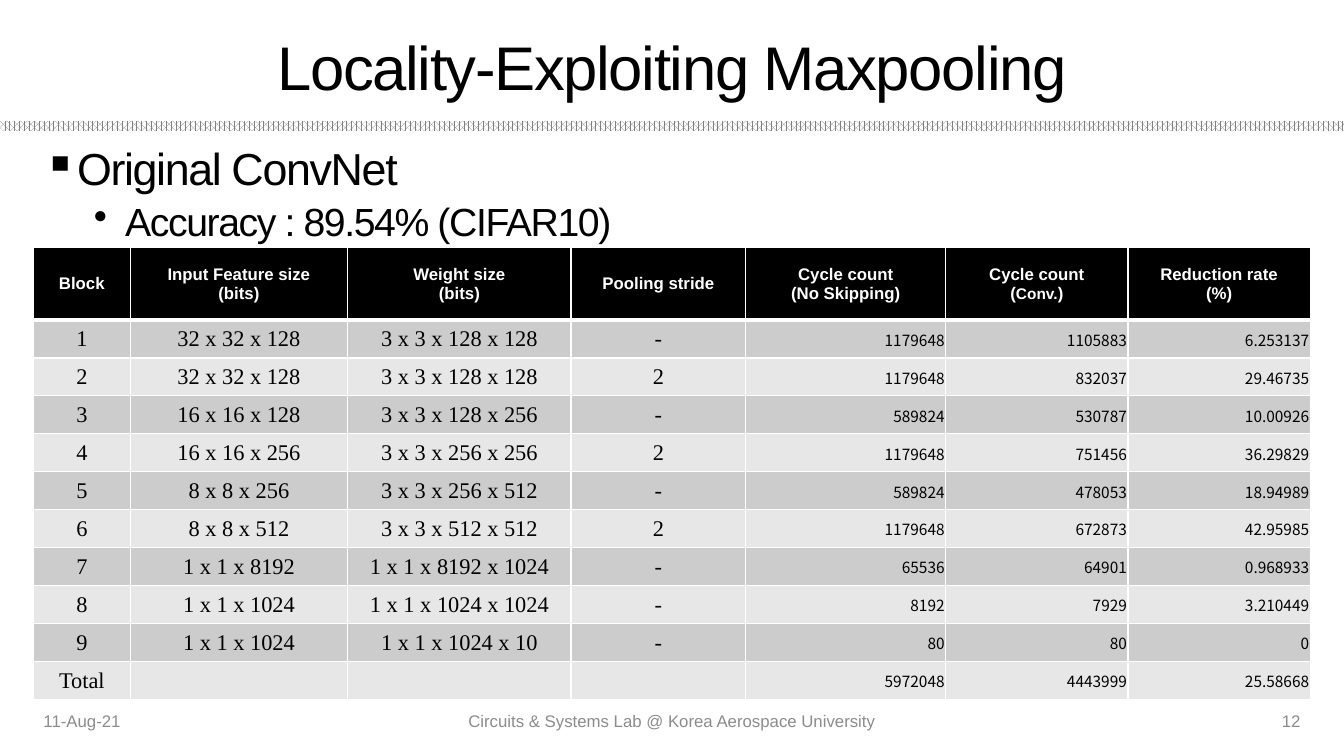
from lxml import etree
from pptx import Presentation
from pptx.dml.color import RGBColor
from pptx.enum.dml import MSO_PATTERN
from pptx.enum.shapes import MSO_SHAPE
from pptx.enum.text import MSO_ANCHOR, PP_ALIGN
from pptx.oxml.ns import qn
from pptx.util import Inches, Pt

LEFT, CENTER, RIGHT = PP_ALIGN.LEFT, PP_ALIGN.CENTER, PP_ALIGN.RIGHT
TOP, MIDDLE = MSO_ANCHOR.TOP, MSO_ANCHOR.MIDDLE
RECTANGLE = MSO_SHAPE.RECTANGLE
DOTS = MSO_PATTERN.PERCENT_70

COLORS = {
    "ink": "000000", "paper": "FFFFFF", "rule": "808080", "footer": "8C8C8C",
    "odd row": "CCCCCC", "even row": "E7E7E7",
}
SANS, SERIF, NUMERIC = "Arial", "Times New Roman", "Noto Sans CJK KR"

# Grid of 160 columns by 90 rows; margins of four columns
COLUMNS, ROWS = 160, 90
MARGIN, CONTENT = 4, 152

COLUMN_WIDTHS = [11.5, 25.9, 26.6, 20.8, 23.8, 21.7, 21.7]
HEADER_HEIGHT, ROW_HEIGHT = 8.6, 4.52
FIRST_NUMERIC = 4

HEADERS = ["Block", "Input Feature size\n(bits)", "Weight size\n(bits)",
           "Pooling stride", "Cycle count\n(No Skipping)",
           "Cycle count\n(Conv.)", "Reduction rate\n(%)"]
BLOCKS = [
    ["1", "32 x 32 x 128", "3 x 3 x 128 x 128", "-", "1179648", "1105883", "6.253137"],
    ["2", "32 x 32 x 128", "3 x 3 x 128 x 128", "2", "1179648", "832037", "29.46735"],
    ["3", "16 x 16 x 128", "3 x 3 x 128 x 256", "-", "589824", "530787", "10.00926"],
    ["4", "16 x 16 x 256", "3 x 3 x 256 x 256", "2", "1179648", "751456", "36.29829"],
    ["5", "8 x 8 x 256", "3 x 3 x 256 x 512", "-", "589824", "478053", "18.94989"],
    ["6", "8 x 8 x 512", "3 x 3 x 512 x 512", "2", "1179648", "672873", "42.95985"],
    ["7", "1 x 1 x 8192", "1 x 1 x 8192 x 1024", "-", "65536", "64901", "0.968933"],
    ["8", "1 x 1 x 1024", "1 x 1 x 1024 x 1024", "-", "8192", "7929", "3.210449"],
    ["9", "1 x 1 x 1024", "1 x 1 x 1024 x 10", "-", "80", "80", "0"],
    ["Total", "", "", "", "5972048", "4443999", "25.58668"],
]


def color(name):
    return RGBColor.from_string(COLORS[name])


class SlideBuilder:
    def __init__(self, deck):
        self.page = deck.slides.add_slide(deck.slide_layouts[6])
        self.column = deck.slide_width / COLUMNS
        self.row = deck.slide_height / ROWS

    def area(self, left, top, width, height):
        return (round(left * self.column), round(top * self.row),
                round(width * self.column), round(height * self.row))

    def format(self, para, size, ink="ink", font=SANS, align=LEFT, bold=False, tracking=0):
        para.alignment = align
        for span in para.runs:
            span.font.size = Pt(size)
            span.font.name = font
            span.font.bold = bold
            span.font.color.rgb = color(ink)
            if tracking:
                span.font._element.set("spc", str(tracking))

    def text(self, area, words, anchor=MIDDLE, **style):
        frame = self.page.shapes.add_textbox(*self.area(*area)).text_frame
        frame.word_wrap = True
        frame.vertical_anchor = anchor
        frame.text = words
        for para in frame.paragraphs:
            self.format(para, **style)
        return frame

    def bullet(self, para, mark, level, indent, space):
        para.level = level
        para.line_spacing = 0.9
        para.space_before = Pt(space)
        properties = para._p.get_or_add_pPr()
        properties.set("marL", str(Inches(indent)))
        properties.set("indent", str(-Inches(0.31)))
        etree.SubElement(properties, qn("a:buChar")).set("char", mark)

    def pattern_band(self, area):
        band = self.page.shapes.add_shape(RECTANGLE, *self.area(*area))
        band.shadow.inherit = False
        band.line.fill.background()
        band.fill.patterned()
        band.fill.pattern = DOTS
        band.fill.fore_color.rgb = color("rule")
        band.fill.back_color.rgb = color("paper")

    def borders(self, cell, top, bottom):
        properties = cell._tc.get_or_add_tcPr()
        widths = {"lnL": 1, "lnR": 1, "lnT": top, "lnB": bottom}
        for place, (side, width) in enumerate(widths.items()):
            line = etree.Element(qn("a:" + side), w=str(Pt(width)))
            fill = etree.SubElement(line, qn("a:solidFill"))
            etree.SubElement(fill, qn("a:srgbClr")).set("val", COLORS["paper"])
            properties.insert(place, line)

    def cell(self, cell, words, fill, top=1, bottom=1, tight=False, **style):
        cell.fill.solid()
        cell.fill.fore_color.rgb = color(fill)
        cell.vertical_anchor = MIDDLE
        if tight:
            cell.margin_left = cell.margin_right = cell.margin_top = Inches(0.01)
            cell.margin_bottom = 0
        cell.text_frame.text = words
        for para in cell.text_frame.paragraphs:
            self.format(para, **style)
        self.borders(cell, top, bottom)

    def table(self, left, top, headers, records):
        height = HEADER_HEIGHT + ROW_HEIGHT * len(records)
        table = self.page.shapes.add_table(
            len(records) + 1, len(headers),
            *self.area(left, top, sum(COLUMN_WIDTHS), height)).table
        for column, width in zip(table.columns, COLUMN_WIDTHS):
            column.width = round(width * self.column)
        for index, row in enumerate(table.rows):
            row.height = round((ROW_HEIGHT if index else HEADER_HEIGHT) * self.row)
        for index, words in enumerate(headers):
            self.cell(table.cell(0, index), words, "ink", bottom=3,
                      size=12, ink="paper", align=CENTER, bold=True)
        for number, record in enumerate(records, 1):
            fill = "odd row" if number % 2 else "even row"
            for index, words in enumerate(record):
                numeric = index >= FIRST_NUMERIC
                self.cell(table.cell(number, index), words, fill,
                          top=3 if number == 1 else 1, tight=numeric or not words,
                          size=11 if numeric else 16,
                          font=NUMERIC if numeric else SERIF,
                          align=RIGHT if numeric else CENTER)
        return table


def main():
    deck = Presentation()
    deck.slide_width, deck.slide_height = Inches(13.33), Inches(7.5)
    slide = SlideBuilder(deck)

    # Title and patterned rule
    slide.pattern_band((0, 14.4, COLUMNS, 1.2))
    slide.text((MARGIN, 2.6, CONTENT, 10.4), "Locality-Exploiting Maxpooling",
               size=44, align=CENTER, tracking=-100)

    # Bulleted summary
    summary = slide.text((MARGIN, 16.9, CONTENT, 64.2),
                         "Original ConvNet\nAccuracy : 89.54% (CIFAR10)",
                         anchor=TOP, size=32, tracking=-100)
    network, accuracy = summary.paragraphs
    slide.bullet(network, "▪", 0, 0.31, 10)
    slide.bullet(accuracy, "•", 1, 0.81, 5)
    accuracy.runs[0].font.size = Pt(28)

    # Cycle counts per block, with a smaller abbreviation in one heading
    table = slide.table(MARGIN, 29.5, HEADERS, BLOCKS)
    heading = table.cell(0, 5).text_frame.paragraphs[1]
    heading.text = "("
    for words in ("Conv.", ")"):
        heading.add_run().text = words
    slide.format(heading, size=12, ink="paper", align=CENTER, bold=True)
    heading.runs[1].font.size = Pt(11)

    # Footer
    for left, width, words, align in (
            (MARGIN, 36, "11-Aug-21", LEFT),
            (53, 54, "Circuits & Systems Lab @ Korea Aerospace University", CENTER),
            (120, 36, "12", RIGHT)):
        slide.text((left, 83.4, width, 4.8), words, size=12, ink="footer", align=align)

    deck.save("out.pptx")


if __name__ == "__main__":
    main()
